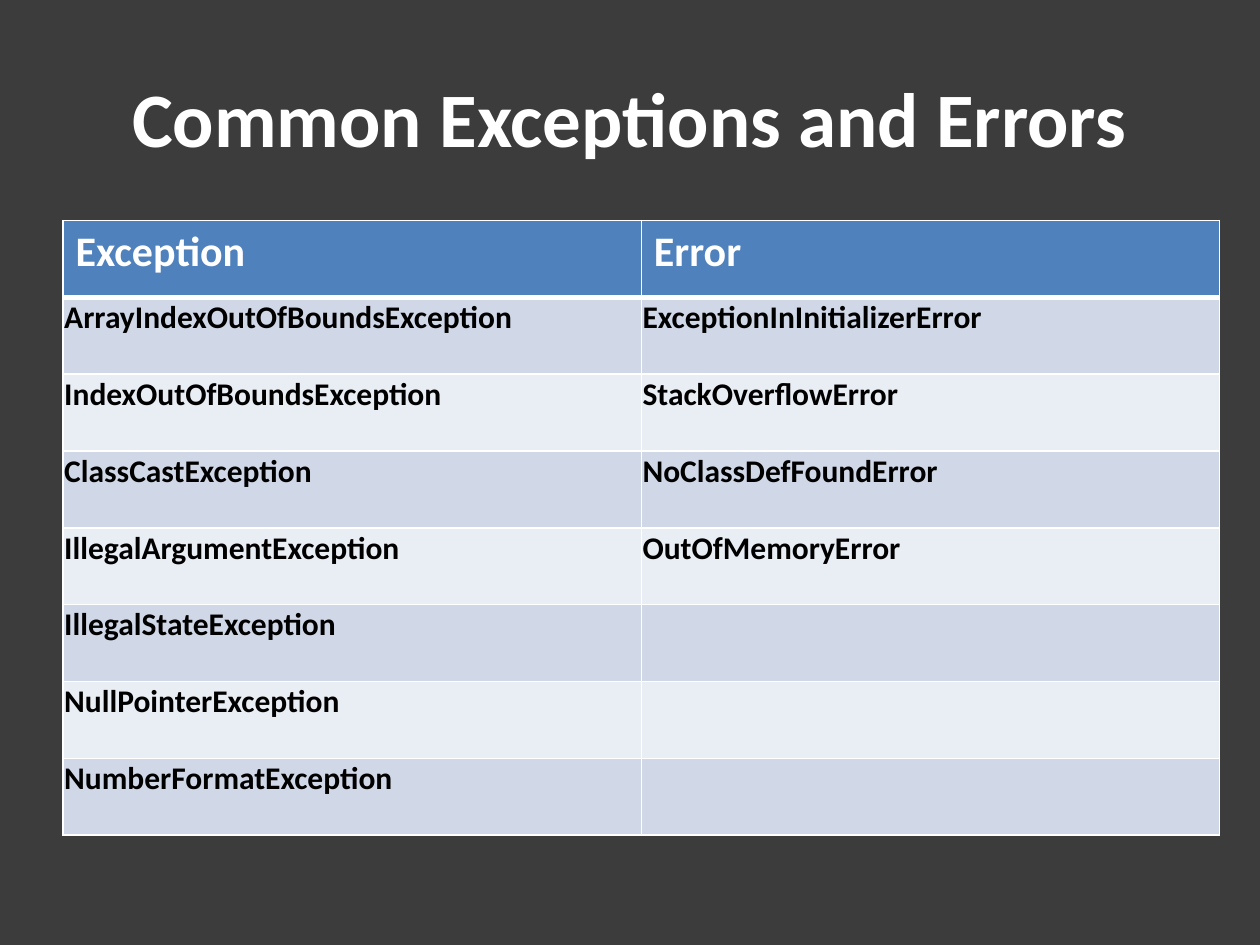
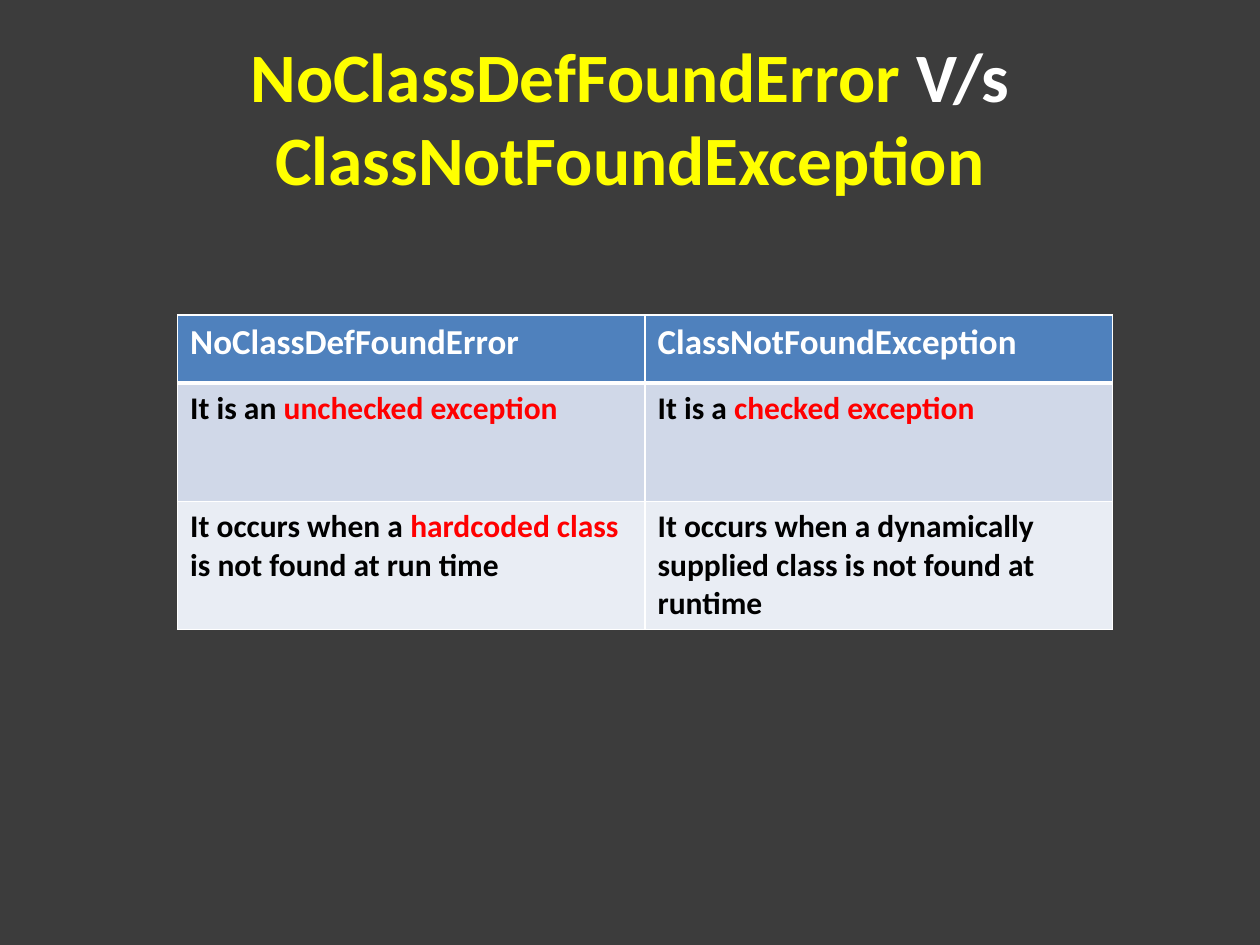
from dataclasses import dataclass

from lxml import etree
from pptx import Presentation
from pptx import util as u
from pptx.dml.color import RGBColor
from pptx.enum import text
from pptx.oxml import ns


@dataclass(frozen=True)
class Theme:
    font: str = "Calibri"
    background: str = "3C3C3C"
    white: str = "FFFFFF"
    black: str = "000000"
    yellow: str = "FFFF00"
    red: str = "FF0000"
    header_fill: str = "4F81BD"
    band_fills: tuple[str, str] = ("D0D8E8", "E9EDF4")
    body_size: float = 18
    border: float = 1
    header_border: float = 3


THEME = Theme()


@dataclass(frozen=True)
class Span:
    words: str
    color: str


Content = tuple[Span, ...]


@dataclass(frozen=True)
class TableSlide:
    title: Content
    title_size: float
    left: float
    top: float
    column_width: float
    row_heights: tuple[float, ...]
    header: tuple[str, str]
    header_size: float
    rows: tuple[tuple[Content, Content], ...]
    body_margin: float | None = None


def plain(words: str) -> Content:
    return (Span(words, THEME.black),) if words else ()


def red(words: str) -> Span:
    return Span(words, THEME.red)


def black(words: str) -> Span:
    return Span(words, THEME.black)


def write(paragraph, content: Content, size: float) -> None:
    paragraph.font.size = u.Pt(size)
    for span in content:
        run = paragraph.add_run()
        run.text = span.words
        run.font.name = THEME.font
        run.font.size = u.Pt(size)
        run.font.bold = True
        run.font.color.rgb = RGBColor.from_string(span.color)


def set_borders(cell, top: float, bottom: float) -> None:
    """Draw white borders; the cell's fill must already be set."""
    properties = cell._tc.get_or_add_tcPr()
    widths = {"lnL": THEME.border, "lnR": THEME.border, "lnT": top, "lnB": bottom}
    for index, (side, width) in enumerate(widths.items()):
        line = etree.Element(ns.qn(f"a:{side}"), w=str(u.Pt(width)))
        fill = etree.SubElement(line, ns.qn("a:solidFill"))
        etree.SubElement(fill, ns.qn("a:srgbClr"), val=THEME.white)
        properties.insert(index, line)


def fill_cell(cell, content: Content, size: float, fill: str) -> None:
    cell.fill.solid()
    cell.fill.fore_color.rgb = RGBColor.from_string(fill)
    write(cell.text_frame.paragraphs[0], content, size)


def add_title(slide, content: Content, size: float) -> None:
    title = slide.shapes.title
    title.left, title.top = u.Inches(0.5), u.Inches(0.3)
    title.width, title.height = u.Inches(9), u.Inches(1.25)
    frame = title.text_frame
    frame.word_wrap = True
    frame.auto_size = text.MSO_AUTO_SIZE.NONE
    frame.vertical_anchor = text.MSO_ANCHOR.MIDDLE
    frame.paragraphs[0].alignment = text.PP_ALIGN.CENTER
    write(frame.paragraphs[0], content, size)


def add_comparison_table(slide, data: TableSlide) -> None:
    table = slide.shapes.add_table(
        len(data.row_heights), len(data.header),
        u.Inches(data.left), u.Inches(data.top),
        u.Inches(data.column_width * len(data.header)),
        u.Inches(sum(data.row_heights)),
    ).table
    for column in table.columns:
        column.width = u.Inches(data.column_width)
    for row, height in zip(table.rows, data.row_heights):
        row.height = u.Inches(height)

    for cell, label in zip(table.rows[0].cells, data.header):
        fill_cell(cell, (Span(label, THEME.white),), data.header_size, THEME.header_fill)
        set_borders(cell, THEME.border, THEME.header_border)

    for index, contents in enumerate(data.rows):
        fill = THEME.band_fills[index % 2]
        top = THEME.border if index else THEME.header_border
        for cell, content in zip(table.rows[index + 1].cells, contents):
            fill_cell(cell, content, THEME.body_size, fill)
            set_borders(cell, top, THEME.border)
            if data.body_margin is not None and content:
                margin = u.Inches(data.body_margin)
                cell.margin_left = cell.margin_right = margin
                cell.margin_top = cell.margin_bottom = margin


EXCEPTIONS_AND_ERRORS = (
    ("ArrayIndexOutOfBoundsException", "ExceptionInInitializerError"),
    ("IndexOutOfBoundsException", "StackOverflowError"),
    ("ClassCastException", "NoClassDefFoundError"),
    ("IllegalArgumentException", "OutOfMemoryError"),
    ("IllegalStateException", ""),
    ("NullPointerException", ""),
    ("NumberFormatException", ""),
)

SLIDES = (
    TableSlide(
        title=(Span("Common Exceptions and Errors", THEME.white),),
        title_size=44,
        left=0.5, top=1.75, column_width=4.59,
        row_heights=(0.61,) * (len(EXCEPTIONS_AND_ERRORS) + 1),
        header=("Exception", "Error"),
        header_size=24,
        rows=tuple((plain(exception), plain(error))
                   for exception, error in EXCEPTIONS_AND_ERRORS),
        body_margin=0.01,
    ),
    TableSlide(
        title=(
            Span("NoClassDefFoundError ", THEME.yellow),
            Span("V/s ", THEME.white),
            Span("ClassNotFoundException", THEME.yellow),
        ),
        title_size=39.6,
        left=1.41, top=2.5, column_width=3.71,
        row_heights=(0.54, 0.94, 1),
        header=("NoClassDefFoundError", "ClassNotFoundException"),
        header_size=20,
        rows=(
            ((black("It is an "), red("unchecked exception")),
             (black("It is a "), red("checked exception"))),
            ((black("It occurs when a "), red("hardcoded class "),
              black("is not found at run time")),
             plain("It occurs when a dynamically supplied class "
                   "is not found at runtime")),
        ),
    ),
)


def main() -> None:
    presentation = Presentation()
    presentation.slide_width = u.Inches(10)
    presentation.slide_height = u.Inches(7.5)
    background = presentation.slide_master.background.fill
    background.solid()
    background.fore_color.rgb = RGBColor.from_string(THEME.background)
    title_only = presentation.slide_layouts.get_by_name("Title Only")
    for data in SLIDES:
        slide = presentation.slides.add_slide(title_only)
        add_title(slide, data.title, data.title_size)
        add_comparison_table(slide, data)
    presentation.save("out.pptx")


if __name__ == "__main__":
    main()
